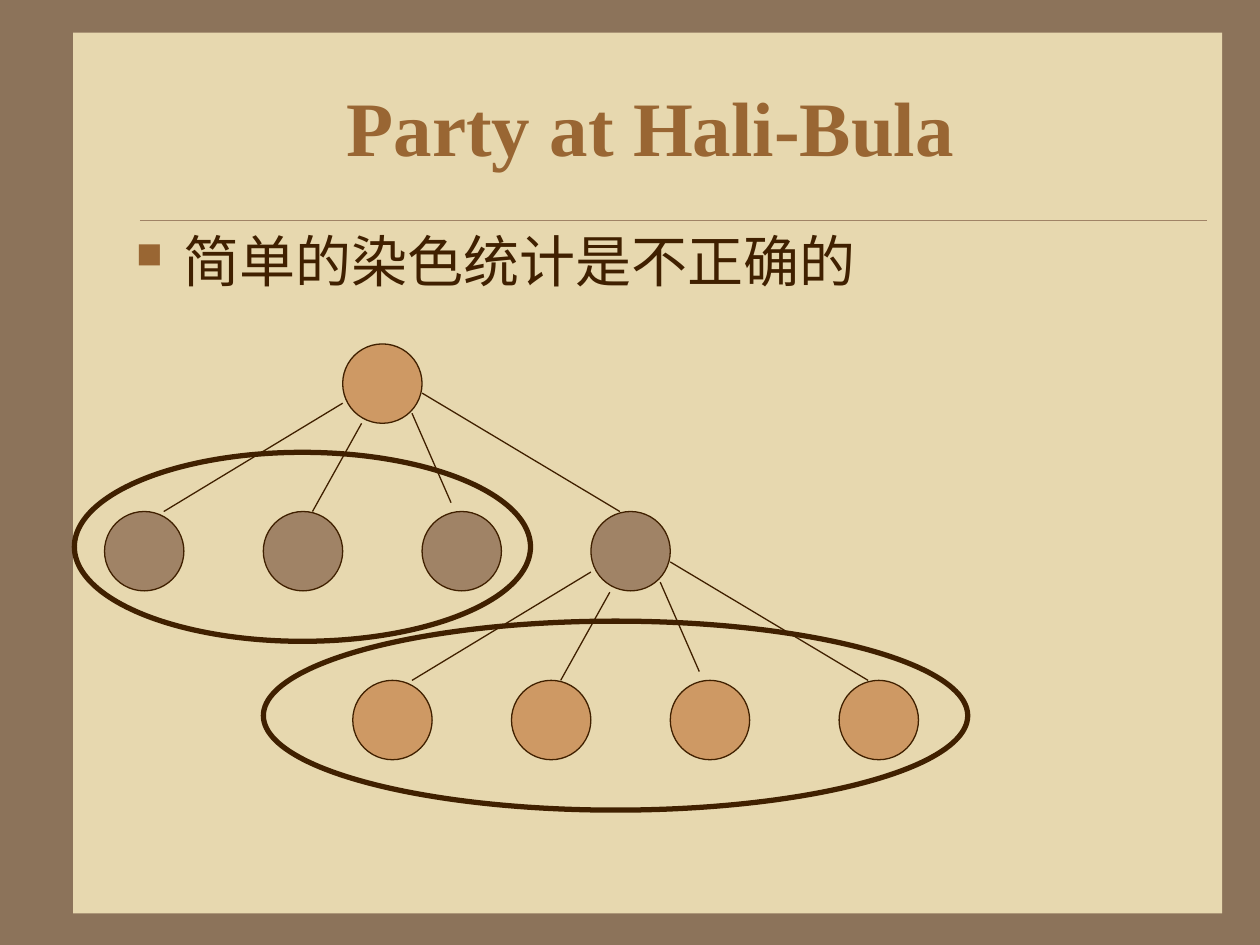
import pptx
import pptx.util
import pptx.dml.color
import pptx.enum.shapes
import pptx.enum.text
import pptx.oxml
import pptx.oxml.ns
import lxml.etree

Inches = pptx.util.Inches
Pt = pptx.util.Pt
Shape = pptx.enum.shapes.MSO_SHAPE
Align = pptx.enum.text.PP_ALIGN
Anchor = pptx.enum.text.MSO_ANCHOR


def color(code):
    return pptx.dml.color.RGBColor.from_string(code)


class Deck:
    font = "Times New Roman"
    ink = "402000"
    accent = "996633"
    tan = "CE9964"
    brown = "A08366"
    thin = 0.74
    size = 0.63

    def __init__(self, slide):
        self.slide = slide

    def shape(self, kind, box, fill=None, line=None, width=thin):
        item = self.slide.shapes.add_shape(kind, *map(Inches, box))
        item.shadow.inherit = False
        if fill:
            item.fill.solid()
            item.fill.fore_color.rgb = color(fill)
        else:
            item.fill.background()
        if line:
            item.line.color.rgb = color(line)
            item.line.width = Pt(width)
        else:
            item.line.fill.background()

    def node(self, left, top, fill):
        self.shape(Shape.OVAL, (left, top, self.size, self.size), fill, self.ink)

    def line(self, start, end, code=ink, width=thin):
        item = self.slide.shapes.add_connector(
            pptx.enum.shapes.MSO_CONNECTOR.STRAIGHT, *map(Inches, start + end))
        item.line.color.rgb = color(code)
        item.line.width = Pt(width)
        lxml.etree.SubElement(item._element.spPr, pptx.oxml.ns.qn("a:effectLst"))

    def text(self, box, words, size, code, bold=False, anchor=Anchor.TOP):
        frame = self.slide.shapes.add_textbox(*map(Inches, box)).text_frame
        frame.word_wrap = True
        frame.vertical_anchor = anchor
        para = frame.paragraphs[0]
        run = para.add_run()
        run.text = words
        run.font.name = self.font
        run.font.size = Pt(size)
        run.font.bold = bold
        run.font.color.rgb = color(code)
        return para

    def bullet(self, para, sign, indent, scale):
        props = para._p.get_or_add_pPr()
        props.set("marL", str(Inches(indent)))
        props.set("indent", str(-Inches(indent)))
        space = pptx.oxml.ns.nsdecls("a")
        for xml in (
            f'<a:buClr {space}><a:srgbClr val="{self.accent}"/></a:buClr>',
            f'<a:buSzPct {space} val="{scale * 1000}"/>',
            f'<a:buChar {space} char="{sign}"/>',
        ):
            props.append(pptx.oxml.parse_xml(xml))

    def branch(self, left, top, fill):
        for col in (0, 1.26, 2.52, 3.86):
            self.node(left + col, top + 1.33, fill)
        for start, end in (
            ((1.89, 0.47), (0.47, 1.33)),
            ((2.04, 0.63), (1.65, 1.33)),
            ((2.44, 0.55), (2.75, 1.26)),
            ((2.52, 0.39), (4.09, 1.33)),
        ):
            self.line((left + start[0], top + start[1]),
                      (left + end[0], top + end[1]))


show = pptx.Presentation()
show.slide_width = Inches(10)
show.slide_height = Inches(7.5)
slide = show.slides.add_slide(show.slide_layouts[6])
slide.background.fill.solid()
slide.background.fill.fore_color.rgb = color("8C735A")
deck = Deck(slide)

deck.shape(Shape.RECTANGLE, (0.58, 0.26, 9.12, 6.99), "E7D8AF")
deck.line((1.11, 1.75), (9.58, 1.75), deck.brown, 0.26)

title = deck.text((0.98, 0.44, 8.52, 1.11), "Party at Hali-Bula ", 44,
                  deck.accent, True, Anchor.MIDDLE)
title.alignment = Align.CENTER
body = deck.text((0.98, 1.75, 8.52, 4.76), "简单的染色统计是不正确的", 32, deck.ink)
body.space_before = Pt(8)
deck.bullet(body, "■", 0.38, 65)

deck.node(2.72, 2.73, deck.tan)
deck.branch(0.83, 2.73, deck.brown)
deck.branch(2.8, 4.07, deck.tan)

for box in ((0.59, 3.59, 3.62, 1.5), (2.09, 4.93, 5.59, 1.5)):
    deck.shape(Shape.OVAL, box, None, deck.ink, 3)

show.save("out.pptx")
